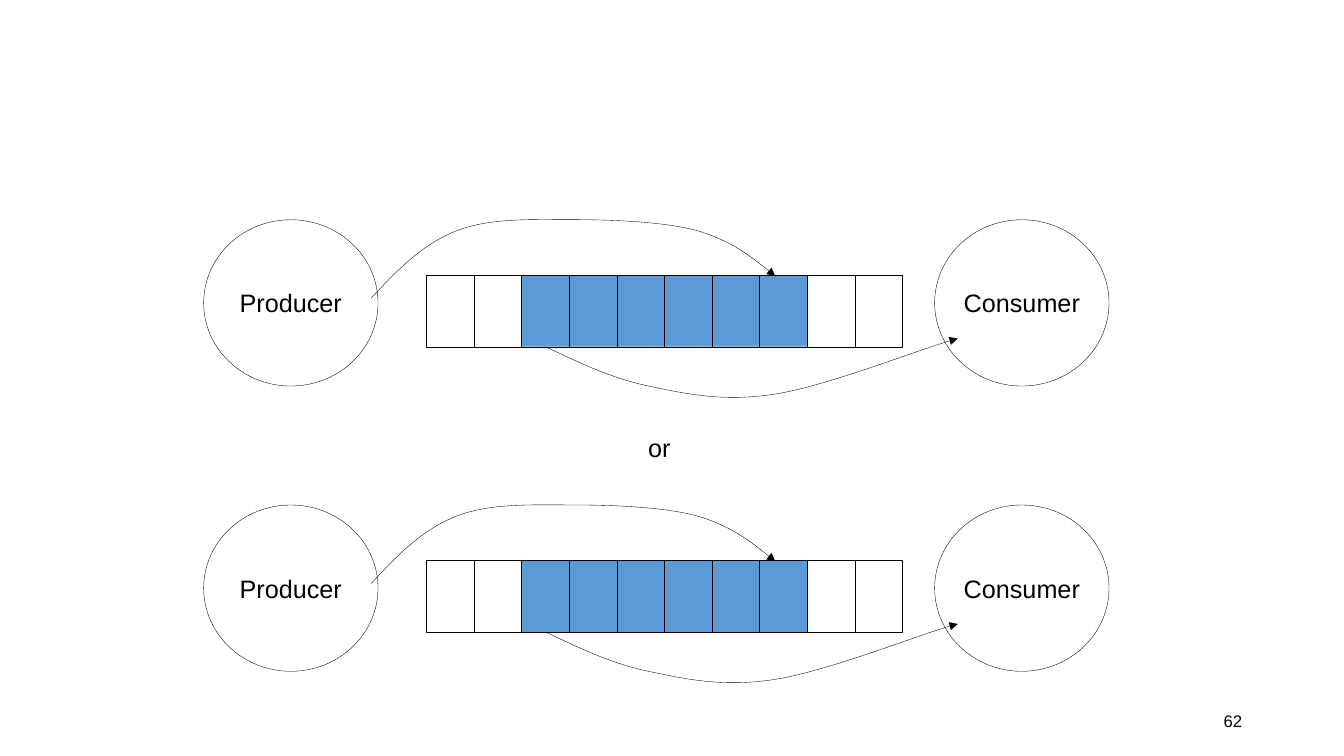
"""Build the producer and consumer bounded buffer slide."""
from dataclasses import dataclass

from lxml import etree
from pptx import Presentation
from pptx.dml.color import RGBColor
from pptx.enum.shapes import MSO_SHAPE
from pptx.enum.text import MSO_ANCHOR, MSO_AUTO_SIZE, PP_ALIGN
from pptx.oxml.ns import qn
from pptx.util import Inches, Pt

RECTANGLE = MSO_SHAPE.RECTANGLE
OVAL = MSO_SHAPE.OVAL
MIDDLE = MSO_ANCHOR.MIDDLE
TOP = MSO_ANCHOR.TOP
LEFT = PP_ALIGN.LEFT
CENTER = PP_ALIGN.CENTER
RIGHT = PP_ALIGN.RIGHT
FIT_SHAPE = MSO_AUTO_SIZE.SHAPE_TO_FIT_TEXT

BLACK = "000000"
BLUE = "5B9BD5"
FONT = "Arial"
LINE_WIDTH = 0.25

DIAGRAM_TOPS = (2.18, 5.01)
CELL_COUNT = 10
FILLED_CELLS = range(2, 8)
BUFFER_LEFT = 4.23
BUFFER_WIDTH = 4.72
BUFFER_DROP = 0.55
CELL_HEIGHT = 0.71


@dataclass(frozen=True)
class Actor:
    label: str
    left: float
    width: float = 1.73
    height: float = 1.65


@dataclass(frozen=True)
class Curve:
    """A start point, then two controls and an end for each Bezier piece."""
    points: tuple[tuple[float, float], ...]


ACTORS = (Actor("Producer", 2.02), Actor("Consumer", 9.27))
PRODUCE = Curve((
    (3.68, 0.78),
    (3.93, 0.51), (4.19, 0.24), (4.53, 0.11),
    (4.86, -0.02), (5.28, 0), (5.68, 0),
    (6.08, 0), (6.59, 0.02), (6.92, 0.11),
    (7.25, 0.21), (7.47, 0.38), (7.69, 0.56),
))
CONSUME = Curve((
    (5.41, 1.26),
    (5.73, 1.41), (6.05, 1.57), (6.43, 1.65),
    (6.81, 1.73), (7.18, 1.81), (7.69, 1.73),
    (8.2, 1.65), (9.21, 1.25), (9.5, 1.18),
))


def color(value: str) -> RGBColor:
    return RGBColor.from_string(value)


def style_outline(shape, fill: str | None = None) -> None:
    shape.shadow.inherit = False
    shape.line.color.rgb = color(BLACK)
    shape.line.width = Pt(LINE_WIDTH)
    if fill:
        shape.fill.solid()
        shape.fill.fore_color.rgb = color(fill)
    else:
        shape.fill.background()


def write_text(shape, text: str, size: int, alignment, anchor, wrap: bool) -> None:
    frame = shape.text_frame
    frame.text = text
    frame.word_wrap = wrap
    frame.vertical_anchor = anchor
    paragraph = frame.paragraphs[0]
    paragraph.alignment = alignment
    font = paragraph.runs[0].font
    font.name = FONT
    font.size = Pt(size)
    font.color.rgb = color(BLACK)


def draw_actor(page, actor: Actor, top: float) -> None:
    circle = page.shapes.add_shape(
        OVAL, Inches(actor.left), Inches(top), Inches(actor.width), Inches(actor.height)
    )
    style_outline(circle)
    write_text(circle, actor.label, 18, CENTER, MIDDLE, wrap=False)


def draw_buffer(page, top: float) -> None:
    cell_width = BUFFER_WIDTH / CELL_COUNT
    for index in range(CELL_COUNT):
        cell = page.shapes.add_shape(
            RECTANGLE,
            Inches(BUFFER_LEFT + index * cell_width),
            Inches(top),
            Inches(cell_width),
            Inches(CELL_HEIGHT),
        )
        style_outline(cell, BLUE if index in FILLED_CELLS else None)


def draw_curve(page, curve: Curve, top: float) -> None:
    points = [(Inches(x), Inches(top + y)) for x, y in curve.points]
    builder = page.shapes.build_freeform(*points[0])
    builder.add_line_segments(points[1:], close=False)
    arrow = builder.convert_to_shape()
    style_outline(arrow)
    outline = next(arrow.element.iter(qn("a:path")))
    segments = outline.findall(qn("a:lnTo"))
    for first in range(0, len(segments), 3):
        bezier = etree.SubElement(outline, qn("a:cubicBezTo"))
        for segment in segments[first:first + 3]:
            bezier.append(segment[0])
            outline.remove(segment)
    line = arrow.element.spPr.find(qn("a:ln"))
    etree.SubElement(line, qn("a:tailEnd"), type="triangle")


def draw_diagram(page, top: float) -> None:
    for actor in ACTORS:
        draw_actor(page, actor, top)
    draw_curve(page, PRODUCE, top)
    draw_buffer(page, top + BUFFER_DROP)
    draw_curve(page, CONSUME, top)


def main() -> None:
    deck = Presentation()
    deck.slide_width = Inches(13.33)
    deck.slide_height = Inches(7.5)
    page = deck.slides.add_slide(deck.slide_layouts[6])
    for top in DIAGRAM_TOPS:
        draw_diagram(page, top)
    choice = page.shapes.add_textbox(Inches(6.33), Inches(4.24), Inches(0.42), Inches(0.41))
    write_text(choice, "or", 18, LEFT, TOP, wrap=False)
    choice.text_frame.auto_size = FIT_SHAPE
    number = page.shapes.add_textbox(Inches(9.42), Inches(6.95), Inches(3), Inches(0.4))
    write_text(number, "62", 12, RIGHT, MIDDLE, wrap=True)
    deck.save("out.pptx")


if __name__ == "__main__":
    main()
